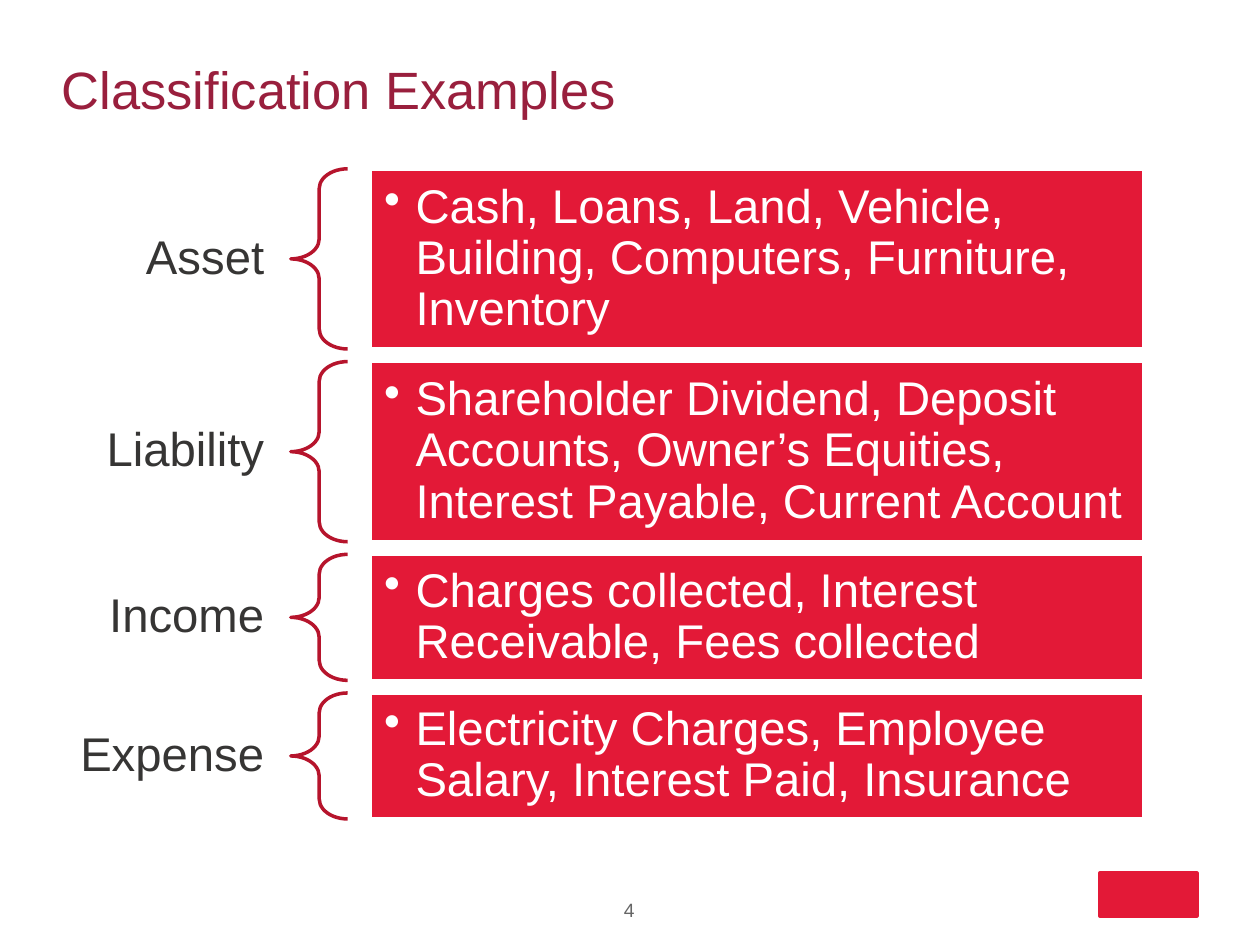
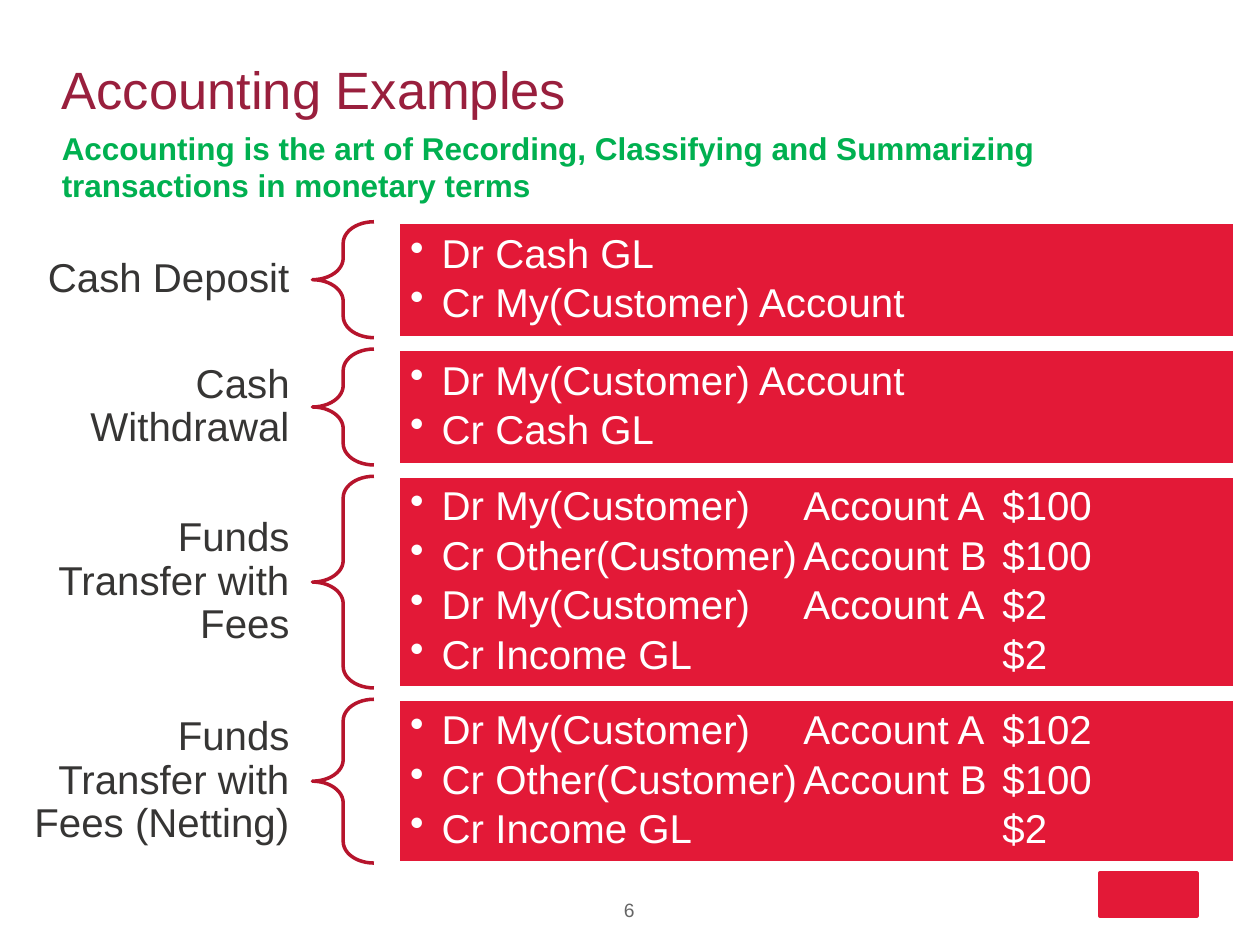
import pptx
import pptx.util
import pptx.dml.color
import pptx.enum.shapes
import pptx.enum.text
import pptx.oxml.ns
from lxml import etree

Inches, Pt = pptx.util.Inches, pptx.util.Pt
RGB = pptx.dml.color.RGBColor
SHAPE = pptx.enum.shapes.MSO_SHAPE
ALIGN = pptx.enum.text.PP_ALIGN
ANCHOR = pptx.enum.text.MSO_ANCHOR

RED = RGB(0xE3, 0x19, 0x37)
WINE = RGB(0x99, 0x1F, 0x3D)
BRACE = RGB(0xB6, 0x14, 0x2C)
GREEN = RGB(0x00, 0xB0, 0x50)
DARK = RGB(0x36, 0x35, 0x34)
GREY = RGB(0x66, 0x66, 0x66)
WHITE = RGB(0xFF, 0xFF, 0xFF)
FONT = "Arial"

# Shares of a chart's width: label, brace, gap, bar
SPLIT = (0.25, 0.05, 0.02, 0.68)
# Tab stops for the account and the amount in a bar
STOPS = (3.12, 4.7)

CLASSES = [
    ("Asset", 1.43, ["Cash, Loans, Land, Vehicle, Building, Computers, Furniture, Inventory"]),
    ("Liability", 1.43, ["Shareholder Dividend, Deposit Accounts, Owner’s Equities, "
                         "Interest Payable, Current Account"]),
    ("Income", 1, ["Charges collected, Interest Receivable, Fees collected"]),
    ("Expense", 1, ["Electricity Charges, Employee Salary, Interest Paid, Insurance"]),
]
ENTRIES = [
    ("Cash Deposit", 0.92, ["Dr Cash GL", "Cr My(Customer) Account"]),
    ("Cash Withdrawal", 0.92, ["Dr My(Customer) Account", "Cr Cash GL"]),
    ("Funds Transfer with Fees", 1.68, [
        "Dr My(Customer)\tAccount A\t$100",
        "Cr Other(Customer)\tAccount B\t$100",
        "Dr My(Customer)\tAccount A\t$2",
        "Cr Income GL\t\t$2"]),
    ("Funds Transfer with Fees (Netting)", 1.3, [
        "Dr My(Customer)\tAccount A\t$102",
        "Cr Other(Customer)\tAccount B\t$100",
        "Cr Income GL\t\t$2"]),
]


def place(shape, box):
    shape.left, shape.top, shape.width, shape.height = map(Inches, box)


def write(shape, lines, size, color, align=ALIGN.LEFT, anchor=ANCHOR.TOP,
          pad=(0, 0), bold=False):
    """Fill a shape with one paragraph per line; pad is (side, top and bottom)."""
    frame = shape.text_frame
    frame.text = "\n".join(lines)
    frame.word_wrap = True
    frame.auto_size = pptx.enum.text.MSO_AUTO_SIZE.NONE
    frame.vertical_anchor = anchor
    frame.margin_left = frame.margin_right = Inches(pad[0])
    frame.margin_top = frame.margin_bottom = Inches(pad[1])
    for para in frame.paragraphs:
        para.alignment = align
        for run in para.runs:
            font = run.font
            font.name, font.size, font.bold = FONT, Pt(size), bold
            font.color.rgb = color
    return frame.paragraphs


def add(parent, tag, **attrs):
    node = etree.SubElement(parent, pptx.oxml.ns.qn(tag))
    for key, value in attrs.items():
        node.set(key, str(value))
    return node


def space(para, after):
    """Set tight lines and the gap below, in percent of a line."""
    para.line_spacing = 0.9
    props = para._p.get_or_add_pPr()
    add(add(props, "a:spcAft"), "a:spcPct", val=after * 1000)
    return props


def bullet(para):
    props = space(para, 15)
    props.set("marL", str(Inches(0.25)))
    props.set("indent", str(-Inches(0.25)))
    add(props, "a:buChar", char="•")
    if "\t" in para.text:
        tabs = add(props, "a:tabLst")
        for stop in STOPS:
            add(tabs, "a:tab", pos=Inches(stop), algn="l")


def draw(slide, kind, box, fill, line):
    shape = slide.shapes.add_shape(kind, *map(Inches, box))
    shape.shadow.inherit = False
    if fill is None:
        shape.fill.background()
    else:
        shape.fill.solid()
        shape.fill.fore_color.rgb = fill
    shape.line.color.rgb = line
    shape.line.width = Pt(2)
    return shape


def row(slide, box, label, lines, size):
    left, top, width, height = box
    tag, brace, gap, bar = (width * part for part in SPLIT)
    name = slide.shapes.add_textbox(0, 0, 0, 0)
    place(name, (left, top, tag, height))
    for para in write(name, [label], size, DARK, ALIGN.RIGHT, ANCHOR.MIDDLE,
                      (size * 0.0078, 0.07)):
        space(para, 35)
    curve = draw(slide, SHAPE.LEFT_BRACE, (left + tag, top, brace, height), None, BRACE)
    curve.adjustments[0] = 0.35
    panel = draw(slide, SHAPE.RECTANGLE,
                 (left + tag + brace + gap, top, bar, height), RED, WHITE)
    for para in write(panel, lines, size, WHITE, anchor=ANCHOR.MIDDLE,
                      pad=(size * 0.004, size * 0.004)):
        bullet(para)


def chart(slide, left, top, width, gap, rows, size):
    """Stack the labelled rows downwards from the top."""
    for label, height, lines in rows:
        row(slide, (left, top, width, height), label, lines, size)
        top += height + gap


def base(deck, layout, title, number):
    """Add a slide with its title, corner mark and page number."""
    slide = deck.slides.add_slide(deck.slide_layouts[layout])
    place(slide.shapes.title, (0.49, 0.2, 9.01, 1.01))
    write(slide.shapes.title, [title], 30, WINE, anchor=ANCHOR.MIDDLE)
    draw(slide, SHAPE.RECTANGLE, (8.73, 6.93, 0.77, 0.34), RED, RED)
    page = slide.shapes.add_textbox(0, 0, 0, 0)
    place(page, (4.57, 7.13, 0.85, 0.26))
    write(page, [number], 11, GREY, ALIGN.CENTER)
    return slide


def classes(deck):
    slide = base(deck, 5, "Classification Examples", "4")
    chart(slide, 0.05, 1.34, 9.03, 0.1, CLASSES, 27)


def entries(deck):
    slide = base(deck, 1, "Accounting Examples", "6")
    body = slide.placeholders[1]
    place(body, (0.49, 1.02, 9.02, 0.75))
    intro = write(body, ["Accounting is the art of Recording, Classifying and "
                         "Summarizing transactions in monetary terms"],
                  18, GREEN, bold=True)[0]
    intro.space_before = Pt(5)
    props = intro._p.get_or_add_pPr()
    props.set("marL", "0")
    props.set("indent", "0")
    add(props, "a:buNone")
    chart(slide, 0.04, 1.76, 9.76, 0.09, ENTRIES, 23)


def main():
    deck = pptx.Presentation()
    deck.slide_width, deck.slide_height = Inches(10), Inches(7.5)
    classes(deck)
    entries(deck)
    deck.save("out.pptx")


if __name__ == "__main__":
    main()
